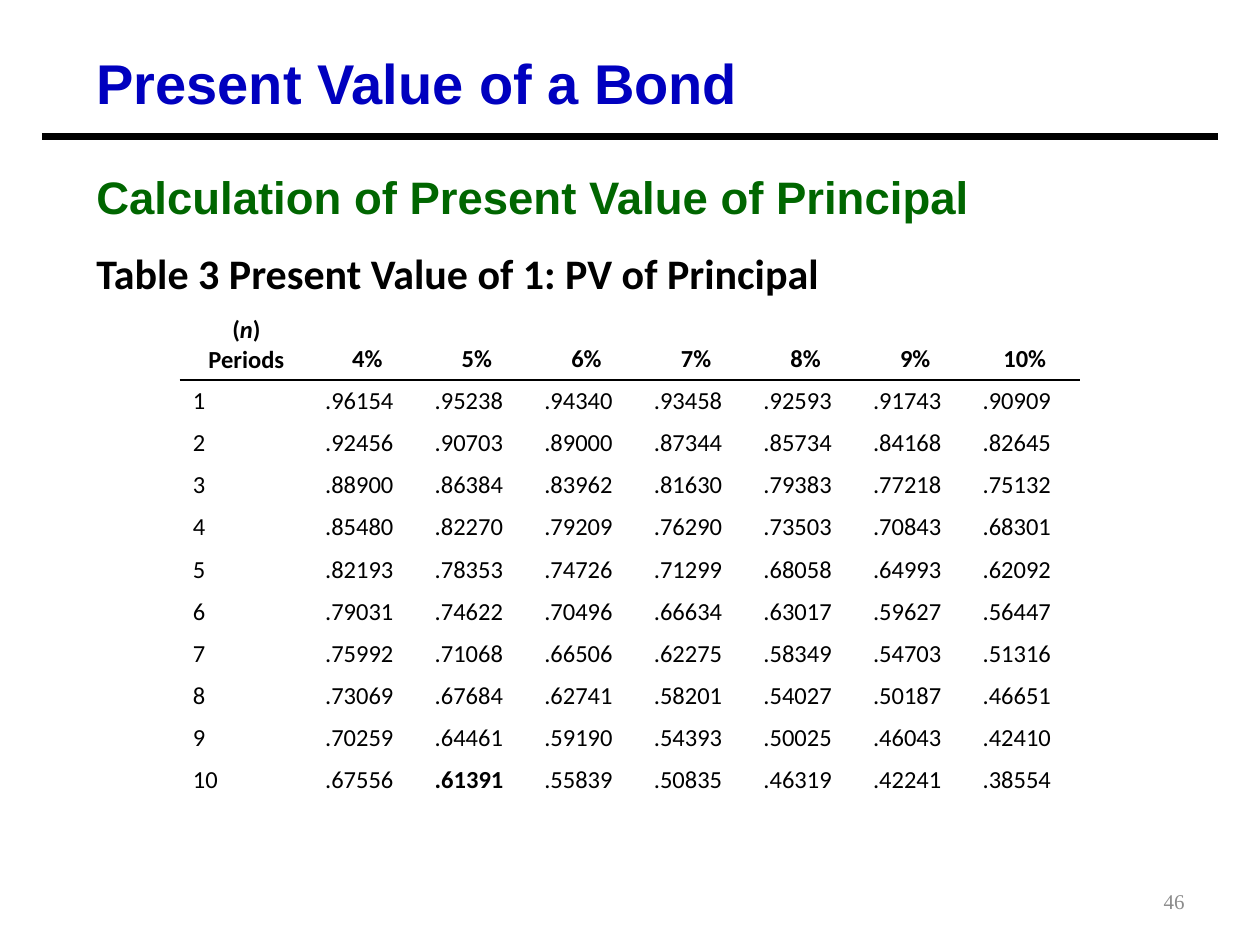
from lxml.etree import SubElement as Sub
from pptx import Presentation
from pptx.dml.color import RGBColor as RGB
from pptx.enum.shapes import MSO_CONNECTOR as Link
from pptx.enum.text import MSO_ANCHOR as Anchor, PP_ALIGN as Align
from pptx.oxml import parse_xml
from pptx.oxml.ns import nsdecls, qn
from pptx.util import Pt

HUES = {"blue": "0000BF", "green": "006600", "black": "000000", "gray": "8C8C8C"}
RATES = ["4%", "5%", "6%", "7%", "8%", "9%", "10%"]
FACTORS = """
.96154 .95238 .94340 .93458 .92593 .91743 .90909
.92456 .90703 .89000 .87344 .85734 .84168 .82645
.88900 .86384 .83962 .81630 .79383 .77218 .75132
.85480 .82270 .79209 .76290 .73503 .70843 .68301
.82193 .78353 .74726 .71299 .68058 .64993 .62092
.79031 .74622 .70496 .66634 .63017 .59627 .56447
.75992 .71068 .66506 .62275 .58349 .54703 .51316
.73069 .67684 .62741 .58201 .54027 .50187 .46651
.70259 .64461 .59190 .54393 .50025 .46043 .42410
.67556 .61391 .55839 .50835 .46319 .42241 .38554
"""
RESULT = ".61391"


def write(frame, text, font="Calibri", size=14, hue="black", bold=False,
          align=Align.LEFT, after=0, slant=None):
    """Fill a text frame with one paragraph, with the slant part in italics."""
    para = frame.paragraphs[0]
    para.alignment = align
    para.space_after = Pt(after)
    head, mid, tail = text.partition(slant) if slant else (text, "", "")
    for part in filter(None, (head, mid, tail)):
        run = para.add_run()
        run.text = part
        run.font.name = font
        run.font.size = Pt(size)
        run.font.bold = bold
        run.font.italic = bool(slant) and part == slant
        run.font.color.rgb = RGB.from_string(HUES[hue])


def add_text(slide, box, text, anchor=Anchor.TOP, **form):
    """Add a wrapped text box."""
    frame = slide.shapes.add_textbox(*map(Pt, box)).text_frame
    frame.word_wrap = True
    frame.vertical_anchor = anchor
    write(frame, text, **form)


def add_rule(slide, left, right, top, width):
    """Add a level black line."""
    line = slide.shapes.add_connector(
        Link.STRAIGHT, Pt(left), Pt(top), Pt(right), Pt(top))
    line.line.color.rgb = RGB.from_string(HUES["black"])
    line.line.width = Pt(width)
    Sub(line._element.spPr, qn("a:effectLst"))


def set_edge(cell, side):
    """Draw a one-point black border on one side of a cell."""
    edge = parse_xml(
        f'<a:{side} {nsdecls("a")} w="{Pt(1)}"><a:solidFill>'
        f'<a:srgbClr val="{HUES["black"]}"/></a:solidFill></a:{side}>')
    cell._tc.get_or_add_tcPr().insert(0, edge)


def add_grid(slide, left, top):
    """Add the table of present value factors."""
    rows = [["(n) Periods"] + RATES]
    for year, line in enumerate(FACTORS.strip().splitlines(), 1):
        rows.append([str(year)] + line.split())
    wide = [75.6] + [62.64] * len(RATES)
    tall = [40.8] + [24] * (len(rows) - 1)
    grid = slide.shapes.add_table(
        len(rows), len(wide), Pt(left), Pt(top), Pt(sum(wide)), Pt(sum(tall))).table
    grid.first_row = grid.horz_banding = False
    for col, width in zip(grid.columns, wide):
        col.width = Pt(width)
    for y, (row, height) in enumerate(zip(rows, tall)):
        grid.rows[y].height = Pt(height)
        for x, text in enumerate(row):
            cell = grid.cell(y, x)
            cell.fill.background()
            if y == 0:
                cell.vertical_anchor = Anchor.BOTTOM
                write(cell.text_frame, text, bold=True, align=Align.CENTER,
                      slant=None if x else "n")
                set_edge(cell, "lnB")
            else:
                write(cell.text_frame, text, bold=text == RESULT, after=3)
            if y == 1:
                set_edge(cell, "lnT")


def main():
    """Build the slide and save it."""
    deck = Presentation()
    deck.slide_width, deck.slide_height = Pt(720), Pt(540)
    slide = deck.slides.add_slide(deck.slide_layouts[6])
    add_text(slide, (48, 24, 600, 44), "Present Value of a Bond",
             font="Arial", size=32, hue="blue", bold=True)
    add_rule(slide, 24, 696, 78, 4.5)
    add_text(slide, (48, 93, 648, 39), "Calculation of Present Value of Principal",
             font="Arial", size=26, hue="green", bold=True)
    add_text(slide, (48, 138, 672, 35.5),
             "Table 3 Present Value of 1: PV of Principal", size=24, bold=True)
    add_grid(slide, 103, 176.4)
    add_text(slide, (516, 500.5, 168, 28.75), "46", anchor=Anchor.MIDDLE,
             font="Times New Roman", size=12, hue="gray", align=Align.RIGHT)
    deck.save("out.pptx")


if __name__ == "__main__":
    main()
